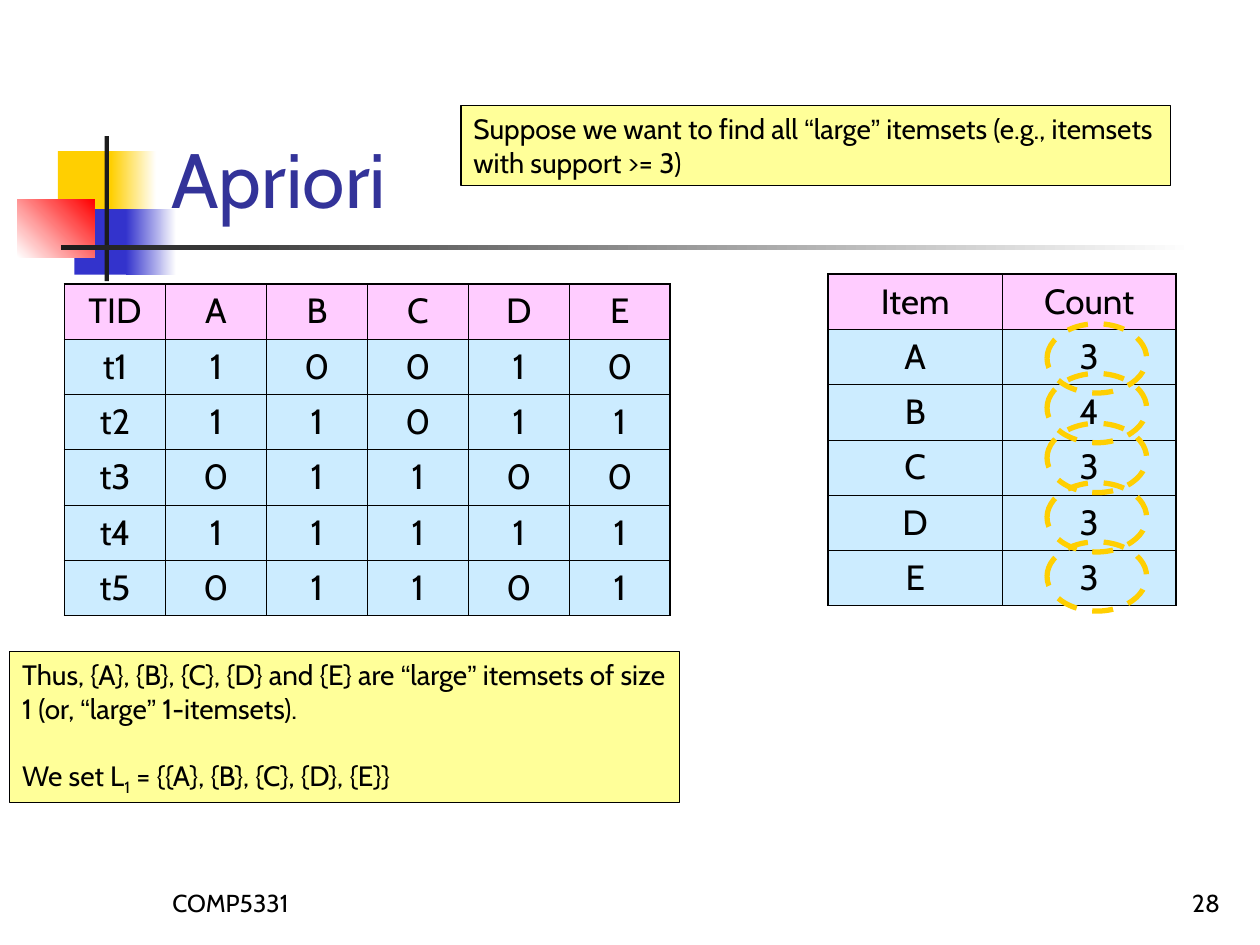
import itertools

import pptx
import pptx.dml.color
import pptx.enum.dml
import pptx.enum.shapes
import pptx.enum.text
import pptx.oxml
import pptx.oxml.ns
import pptx.util

Pt = pptx.util.Pt
RGB = pptx.dml.color.RGBColor
SHAPE = pptx.enum.shapes.MSO_SHAPE
ALIGN = pptx.enum.text.PP_ALIGN
ANCHOR = pptx.enum.text.MSO_ANCHOR

BLACK = RGB(0x00, 0x00, 0x00)
WHITE = RGB(0xFF, 0xFF, 0xFF)
GOLD = RGB(0xFF, 0xCF, 0x01)
BLUE = RGB(0x33, 0x33, 0xCC)
NAVY = RGB(0x33, 0x33, 0x99)
RED = RGB(0xFF, 0x00, 0x00)
DARK = RGB(0x1C, 0x1C, 0x1C)
PINK = RGB(0xFF, 0xCC, 0xFF)
SKY = RGB(0xCC, 0xEC, 0xFF)
CREAM = RGB(0xFF, 0xFF, 0x99)


def write(para, text, size, color=BLACK):
    """Add text in Cabin, with curly quotes as Arial runs."""
    for quote, part in itertools.groupby(text, lambda c: c in "“”"):
        run = para.add_run()
        run.text = "".join(part)
        run.font.name = "Arial" if quote else "Cabin"
        run.font.size = Pt(size)
        run.font.color.rgb = color
    return run


def draw(kind, left, top, width, height):
    shape = slide.shapes.add_shape(kind, Pt(left), Pt(top), Pt(width), Pt(height))
    shape.shadow.inherit = False
    shape.line.fill.background()
    return shape


deck = pptx.Presentation()
deck.slide_width, deck.slide_height = Pt(720), Pt(540)
slide = deck.slides.add_slide(deck.slide_layouts[5])

# Corner ornament and rule: place, first colour, last colour, angle
for place, first, last, angle in [
    ((33.1, 86.4, 34.6, 37.4), GOLD, None, 0),
    ((63.4, 86.4, 25.9, 37.4), GOLD, WHITE, 0),
    ((42.5, 119.5, 33.1, 37.4), BLUE, None, 0),
    ((72, 119.5, 28.8, 37.4), BLUE, WHITE, 0),
    ((10, 113.8, 44, 33.1), WHITE, RED, 45),
    ((59.8, 77.8, 2.5, 82.8), DARK, None, 0),
    ((34.6, 140.2, 648, 2.5), DARK, WHITE, 0),
]:
    fill = draw(SHAPE.RECTANGLE, *place).fill
    if last is None:
        fill.solid()
        fill.fore_color.rgb = first
    else:
        fill.gradient()
        fill.gradient_angle = angle
        for stop, color in zip(fill.gradient_stops, (first, last)):
            stop.color.rgb = color

# Title
title = slide.shapes.title
title.left, title.top, title.width, title.height = Pt(90.7), Pt(16.6), Pt(613.4), Pt(115.2)
frame = title.text_frame
frame.auto_size = pptx.enum.text.MSO_AUTO_SIZE.NONE
frame.vertical_anchor = ANCHOR.BOTTOM
frame.paragraphs[0].alignment = ALIGN.LEFT
write(frame.paragraphs[0], "Apriori", 44, NAVY)

# Footer and page number
for left, text, align in [(91.4, "COMP5331", ALIGN.LEFT), (554.4, "28", ALIGN.RIGHT)]:
    frame = slide.shapes.add_textbox(Pt(left), Pt(491.8), Pt(149.8), Pt(36)).text_frame
    frame.word_wrap = True
    frame.vertical_anchor = ANCHOR.BOTTOM
    frame.paragraphs[0].alignment = align
    write(frame.paragraphs[0], text, 14)

# Transactions and item counts
trades = ["TID A B C D E", "t1 1 0 0 1 0", "t2 1 1 0 1 1",
          "t3 0 1 1 0 0", "t4 1 1 1 1 1", "t5 0 1 1 0 1"]
counts = ["Item Count", "A 3", "B 4", "C 3", "D 3", "E 3"]
for lines, left, top, wide in [(trades, 36.9, 162.2, 57.7), (counts, 473.3, 156.6, 99.4)]:
    rows = [line.split() for line in lines]
    tall, across = len(rows), len(rows[0])
    table = slide.shapes.add_table(tall, across, Pt(left), Pt(top),
                                   Pt(wide * across), Pt(31.6 * tall)).table
    for col in table.columns:
        col.width = Pt(wide)
    for r, row in enumerate(rows):
        table.rows[r].height = Pt(31.6)
        for c, text in enumerate(row):
            cell = table.cell(r, c)
            # Thick outer edges, thin inner ones
            props = cell._tc.get_or_add_tcPr()
            for side, outer in [("L", c == 0), ("R", c == across - 1),
                                ("T", r == 0), ("B", r == tall - 1)]:
                width = Pt(1.08 if outer else 0.45)
                props.append(pptx.oxml.parse_xml(
                    f'<a:ln{side} {pptx.oxml.ns.nsdecls("a")} w="{width}"><a:solidFill>'
                    f'<a:srgbClr val="{BLACK}"/></a:solidFill></a:ln{side}>'))
            cell.fill.solid()
            cell.fill.fore_color.rgb = SKY if r else PINK
            para = cell.text_frame.paragraphs[0]
            para.alignment = ALIGN.CENTER
            write(para, text, 20)

# Yellow notes
goal = "Suppose we want to find all “large” itemsets (e.g., itemsets with support >= 3)"
found = ("Thus, {A}, {B}, {C}, {D} and {E} are “large” itemsets of size 1 "
         "(or, “large” 1-itemsets).")
for place, text in [((263.5, 60.2, 405.4, 46), goal), ((5.6, 372.2, 382.8, 86.6), found)]:
    note = draw(SHAPE.RECTANGLE, *place)
    note.fill.solid()
    note.fill.fore_color.rgb = CREAM
    note.line.color.rgb = BLACK
    note.line.width = Pt(0.75)
    frame = note.text_frame
    frame.word_wrap = True
    frame.vertical_anchor = ANCHOR.TOP
    frame.paragraphs[0].alignment = ALIGN.LEFT
    write(frame.paragraphs[0], text, 16)

# Closing line of the lower note, with a subscript
para = frame.add_paragraph()
para.alignment = ALIGN.LEFT
para.space_before = Pt(19.3)
write(para, "We set L", 16)
write(para, "1", 16).font._element.set("baseline", "-25000")
write(para, " = {{A}, {B}, {C}, {D}, {E}}", 16)

# Dashed rings around the counts
for top in (185, 213.4, 241.9, 275.8, 309.6):
    ring = draw(SHAPE.OVAL, 598.3, top, 56.9, 39.6)
    ring.fill.background()
    ring.line.color.rgb = GOLD
    ring.line.width = Pt(3)
    ring.line.dash_style = pptx.enum.dml.MSO_LINE.DASH

deck.save("out.pptx")
